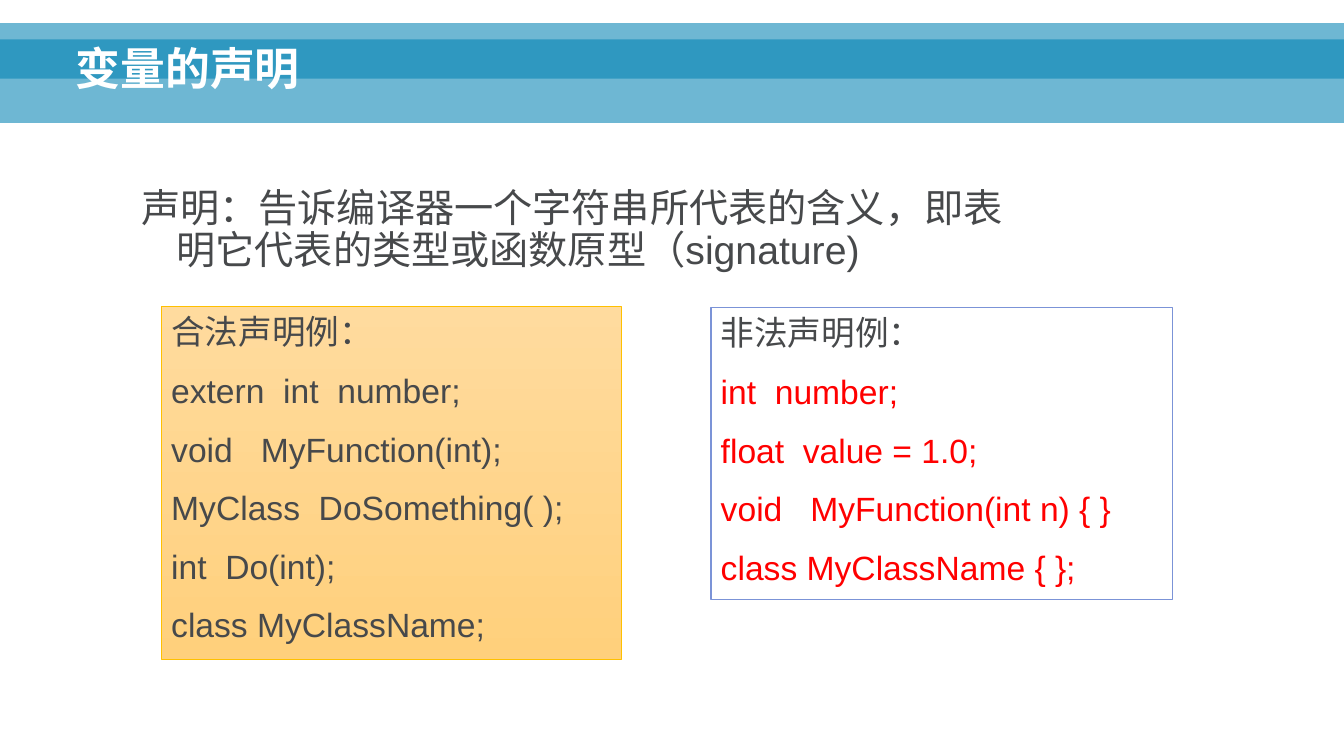
"""Build a slide on variable declarations with valid and invalid examples."""
import pptx
import pptx.dml.color
import pptx.enum.shapes
import pptx.enum.text
import pptx.oxml
import pptx.oxml.ns
import pptx.util
from pptx.util import Inches

RECTANGLE = pptx.enum.shapes.MSO_SHAPE.RECTANGLE
LEFT = pptx.enum.text.PP_ALIGN.LEFT
TEXT_COLOR = "47494B"


def color(value):
    return pptx.dml.color.RGBColor.from_string(value)


def format_paragraph(paragraph, size, text_color, bold=False):
    paragraph.alignment = LEFT
    paragraph.font.name = "Arial"
    paragraph.font.size = pptx.util.Pt(size)
    paragraph.font.bold = bold
    paragraph.font.color.rgb = color(text_color)


presentation = pptx.Presentation()
presentation.slide_width = Inches(13.33)
presentation.slide_height = Inches(7.5)
slide = presentation.slides.add_slide(presentation.slide_layouts[1])
title, definition = slide.placeholders

for index, (top, height) in enumerate([(0.39, 0.83), (0.23, 0.55)]):
    band = slide.shapes.add_shape(RECTANGLE, 0, Inches(top), Inches(13.33), Inches(height))
    band.shadow.inherit = False
    band.fill.solid()
    band.fill.fore_color.rgb = color("0082B3")
    band.line.fill.background()
    band_color = band.fill._xPr.find(".//" + pptx.oxml.ns.qn("a:srgbClr"))
    pptx.oxml.ns.qn("a:alpha")
    band_color.append(pptx.oxml.parse_xml(
        f'<a:alpha {pptx.oxml.ns.nsdecls("a")} val="57000"/>'))
    slide.shapes._spTree.insert(2 + index, band._element)

title.left, title.top = Inches(0.65), Inches(0.12)
title.width, title.height = Inches(11.98), Inches(0.87)
title.text_frame.text = "变量的声明"
title.text_frame.vertical_anchor = pptx.enum.text.MSO_ANCHOR.BOTTOM
title.text_frame.auto_size = pptx.enum.text.MSO_AUTO_SIZE.NONE
title_paragraph = title.text_frame.paragraphs[0]
title_paragraph.line_spacing = 0.9
format_paragraph(title_paragraph, 32, "FFFFFF", bold=True)

definition.left, definition.top = Inches(1.3), Inches(1.82)
definition.width, definition.height = Inches(9), Inches(1)
definition.text_frame.text = "声明：告诉编译器一个字符串所代表的含义，即表明它代表的类型或函数原型（signature)"
definition.text_frame.auto_size = pptx.enum.text.MSO_AUTO_SIZE.NONE
definition_paragraph = definition.text_frame.paragraphs[0]
definition_paragraph.line_spacing = 0.9
definition_paragraph.space_before = 0
properties = definition_paragraph._p.get_or_add_pPr()
properties.set("marL", str(Inches(0.35)))
properties.set("indent", str(Inches(-0.35)))
properties.append(pptx.oxml.parse_xml(f'<a:buNone {pptx.oxml.ns.nsdecls("a")}/>'))
format_paragraph(definition_paragraph, 28, TEXT_COLOR)

examples = [
    ((1.6, 3.04, 4.56, 3.5), ("FFDB9E", "FFD07C"), "FFC000", 0.5, TEXT_COLOR,
     ["合法声明例：", "extern  int  number;", "void   MyFunction(int);",
      "MyClass  DoSomething( );", "int  Do(int);", "class MyClassName;"]),
    ((7.05, 3.05, 4.58, 2.9), ("FFFFFF",), "7B93D7", 1, "FF0000",
     ["非法声明例：", "int  number;", "float  value = 1.0;",
      "void   MyFunction(int n) { }", "class MyClassName { };"]),
]
for bounds, fills, line_color, line_width, code_color, lines in examples:
    box = slide.shapes.add_shape(RECTANGLE, *map(Inches, bounds))
    box.shadow.inherit = False
    if len(fills) > 1:
        box.fill.gradient()
        box.fill.gradient_angle = 270
        for stop, fill in zip(box.fill.gradient_stops, fills):
            stop.color.rgb = color(fill)
    else:
        box.fill.solid()
        box.fill.fore_color.rgb = color(fills[0])
    box.line.color.rgb = color(line_color)
    box.line.width = pptx.util.Pt(line_width)
    box.text_frame.word_wrap = True
    box.text_frame.vertical_anchor = pptx.enum.text.MSO_ANCHOR.TOP
    box.text_frame.text = "\n".join(lines)
    for index, paragraph in enumerate(box.text_frame.paragraphs):
        paragraph.space_before = pptx.util.Pt(13 if index else 0)
        format_paragraph(paragraph, 24, code_color if index else TEXT_COLOR)

presentation.save("out.pptx")
